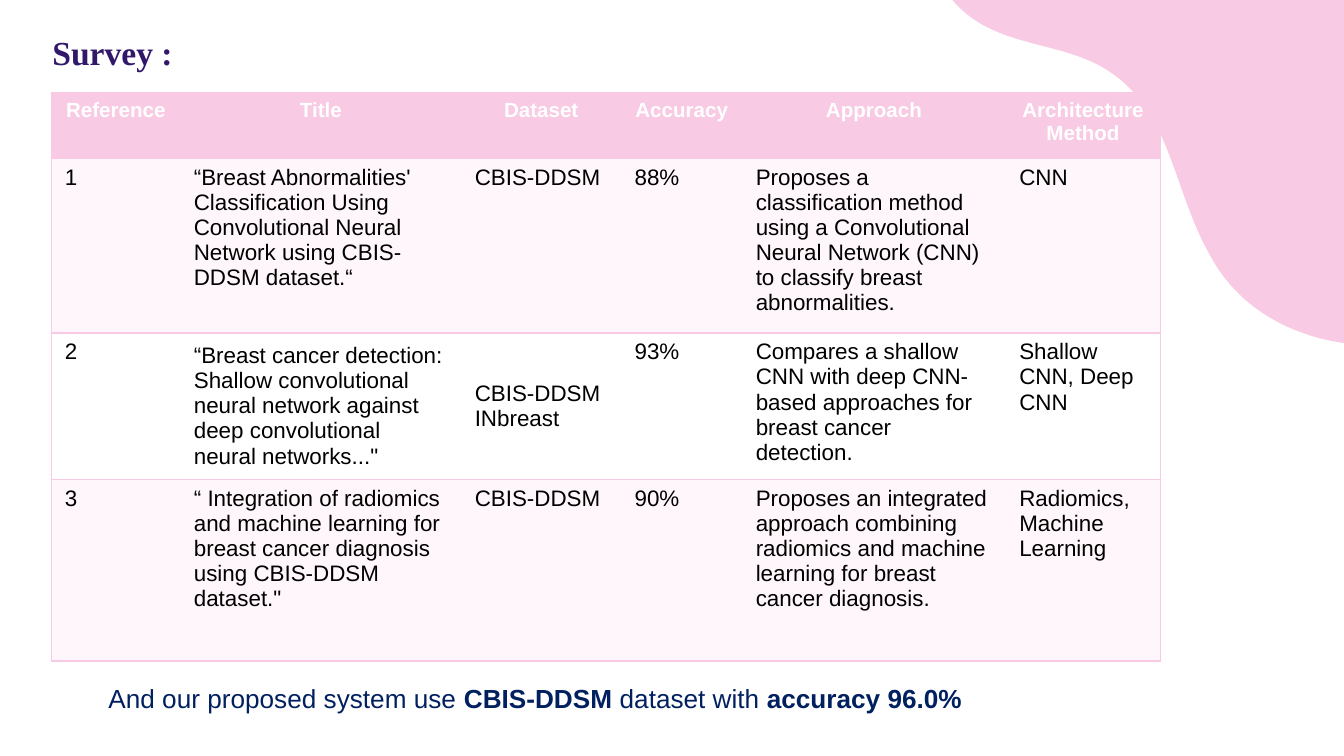
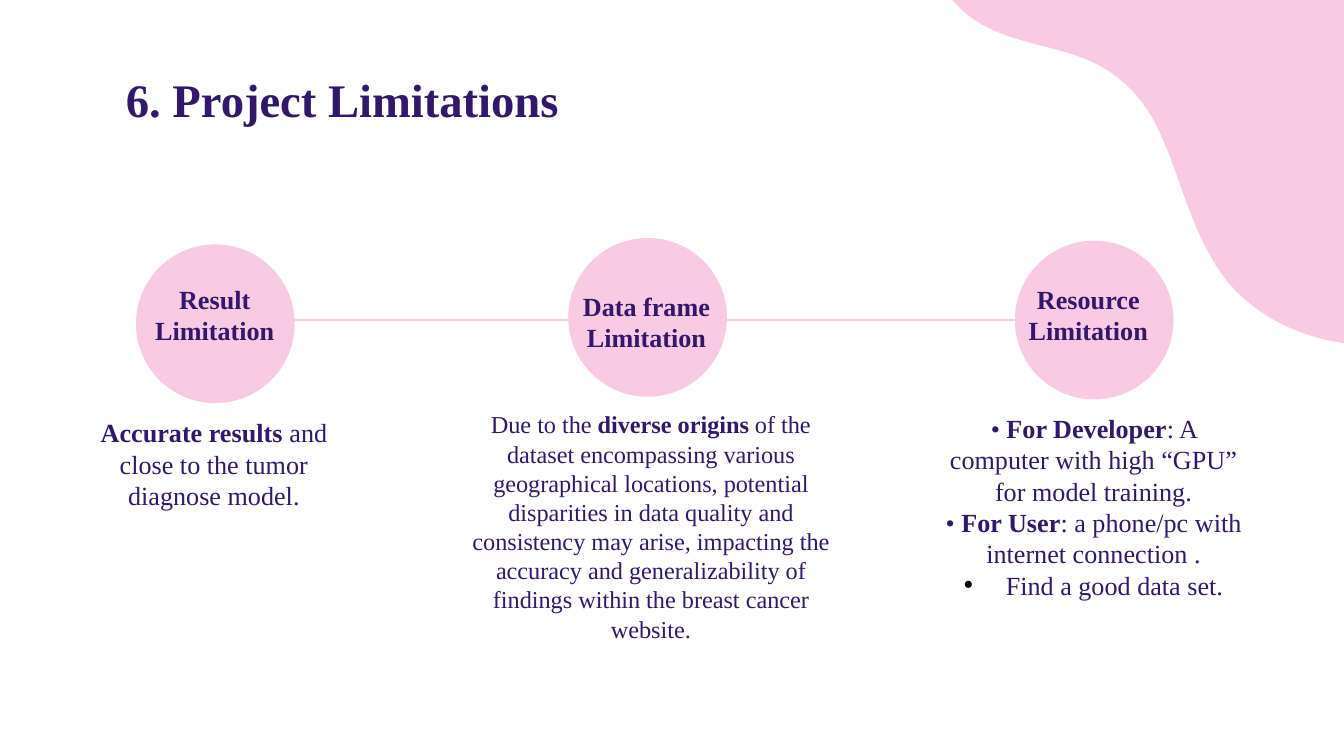
"""Build the survey table and project limitations slides."""
from lxml import etree
from pptx import Presentation
from pptx import util as u
from pptx.dml.color import RGBColor
from pptx.enum import shapes, text
from pptx.oxml import parse_xml
from pptx.oxml.ns import nsdecls, qn

PINK, PALE, WHITE, PURPLE, NAVY, BLACK = "F9CAE3", "FEF6FA", "FFFFFF", "32186B", "002060", "000000"
SERIF, SANS = "Times New Roman", "Arial"
LEFT, CENTER = text.PP_ALIGN.LEFT, text.PP_ALIGN.CENTER
rgb = RGBColor.from_string


def write(tf, content, size, font, color, align=LEFT):
    """Fill a text frame, one paragraph a line, with ** around bold parts."""
    tf.word_wrap = True
    tf.text = content
    for p in tf.paragraphs:
        parts = p.text.split("**")
        p.clear()
        p.alignment = align
        for i, part in enumerate(parts):
            if part:
                r = p.add_run()
                r.text = part
                r.font.size, r.font.name = u.Pt(size), font
                r.font.bold = i % 2 == 1
                r.font.color.rgb = rgb(color)


def paint(sp, color):
    """Give a shape a flat fill without outline or shadow."""
    sp.fill.solid()
    sp.fill.fore_color.rgb = rgb(color)
    sp.line.fill.background()
    sp.shadow.inherit = False


prs = Presentation()
prs.slide_width, prs.slide_height = u.Cm(25.4), u.Cm(14.29)
layout = prs.slide_layouts[5]
survey, limits = [prs.slides.add_slide(layout) for _ in range(2)]

# Wave curves in hundredths of an inch: two control points and an end point each
wave = [
    (1207, 7), (1215, 56), (1204, 104), (1190, 166), (1143, 225), (1081, 247),
    (1018, 270), (942, 253), (907, 201), (905, 198), (903, 195), (901, 191),
    (882, 159), (875, 119), (857, 87), (849, 74), (839, 62), (825, 53),
    (798, 35), (763, 35), (734, 20), (718, 12), (706, -1), (698, -15),
    (680, -46), (679, -86), (698, -117), (727, -164), (795, -183), (842, -156),
    (864, -144), (881, -122), (905, -114), (921, -109), (939, -110), (956, -111),
    (1030, -116), (1092, -128), (1149, -76), (1163, -64), (1175, -50), (1184, -34),
]
fb = survey.shapes.build_freeform(1184, -34, scale=u.Cm(2.54) / 100)
fb.add_line_segments(wave, close=True)
sp = fb.convert_to_shape()
paint(sp, PINK)
lines = list(sp.element.iter(qn("a:lnTo")))
for i in range(0, len(lines), 3):
    curve = etree.Element(qn("a:cubicBezTo"))
    lines[i].addprevious(curve)
    for ln in lines[i:i + 3]:
        curve.append(ln[0])
        ln.getparent().remove(ln)
layout.shapes.element.insert(2, sp.element)

titles = [
    (survey, "**Survey :**", 18, (0.74, 0.48, 7.34, 1.02), 0.13),
    (limits, "**6. Project Limitations**", 25, (2.13, 1.07, 18.72, 1.6), 0.25),
]
for s, content, size, box, inset in titles:
    sp = s.shapes.title
    sp.left, sp.top, sp.width, sp.height = [u.Cm(v) for v in box]
    tf = sp.text_frame
    tf.auto_size = text.MSO_AUTO_SIZE.NONE
    tf.vertical_anchor = text.MSO_ANCHOR.MIDDLE
    tf.margin_left = tf.margin_right = u.Cm(0.25)
    tf.margin_top = tf.margin_bottom = u.Cm(inset)
    write(tf, content, size, SERIF, PURPLE)

rows = [
    ["Reference", "Title", "Dataset", "Accuracy", "Approach", "Architecture Method"],
    ["1", "“Breast Abnormalities' Classification Using Convolutional Neural Network using CBIS-DDSM dataset.“",
     "CBIS-DDSM", "88%",
     "Proposes a classification method using a Convolutional Neural Network (CNN) to classify breast abnormalities.",
     "CNN"],
    ["2", "“Breast cancer detection: Shallow convolutional neural network against deep convolutional neural networks...\"",
     "CBIS-DDSM\nINbreast", "93%",
     "Compares a shallow CNN with deep CNN-based approaches for breast cancer detection.",
     "Shallow CNN, Deep CNN"],
    ["3", "“ Integration of radiomics and machine learning for breast cancer diagnosis using CBIS-DDSM dataset.\"",
     "CBIS-DDSM", "90%",
     "Proposes an integrated approach combining radiomics and machine learning for breast cancer diagnosis.",
     "Radiomics, Machine Learning"],
]
widths = [2.44, 5.31, 3.02, 2.29, 4.98, 2.92]
heights = [1.24, 3.3, 2.77, 3.43]
tbl = survey.shapes.add_table(len(rows), len(widths), u.Cm(0.97), u.Cm(1.75),
                              u.Cm(sum(widths)), u.Cm(sum(heights))).table
tbl.horz_banding = False
for col, w in zip(tbl.columns, widths):
    col.width = u.Cm(w)
for i, row in enumerate(rows):
    tbl.rows[i].height = u.Cm(heights[i])
    for j, content in enumerate(row):
        cell = tbl.cell(i, j)
        if i == 0:
            write(cell.text_frame, f"**{content}**", 11, SANS, WHITE, CENTER)
        else:
            write(cell.text_frame, content, 12, SANS, BLACK)
        if i == 2 and j in (1, 2):
            cell.vertical_anchor = text.MSO_ANCHOR.MIDDLE
        cell.fill.solid()
        cell.fill.fore_color.rgb = rgb([PINK, PALE, WHITE, PALE][i])
        edges = {"lnL": j == 0, "lnR": j == len(row) - 1, "lnT": True, "lnB": True}
        for k, (tag, shown) in enumerate(edges.items()):
            fill = f'<a:solidFill><a:srgbClr val="{PINK}"/></a:solidFill>' if shown else "<a:noFill/>"
            edge = parse_xml(f'<a:{tag} {nsdecls("a")} w="12700">{fill}</a:{tag}>')
            cell._tc.get_or_add_tcPr().insert(k, edge)

cn = limits.shapes.add_connector(shapes.MSO_CONNECTOR.STRAIGHT, u.Cm(5.33), u.Cm(6.05), u.Cm(22.05), u.Cm(6.05))
cn.line.color.rgb = rgb(PINK)
cn.line.width = u.Pt(1.5)
etree.SubElement(cn.element.spPr, qn("a:effectLst"))

for left, top in [(19.18, 4.55), (10.74, 4.5), (2.57, 4.62)]:
    sp = limits.shapes.add_shape(shapes.MSO_SHAPE.OVAL, u.Cm(left), u.Cm(top), u.Cm(3), u.Cm(3))
    paint(sp, PINK)

boxes = [
    (survey, (1.8, 12.78, 19.25, 0.86), 14, SANS, NAVY, LEFT,
     "And our proposed system use **CBIS-DDSM** dataset with **accuracy 96.0%**"),
    (limits, (-2.29, 5.23, 12.7, 1.45), 14, SERIF, PURPLE, CENTER, "**Result**\n**Limitation**"),
    (limits, (5.87, 5.36, 12.7, 2.06), 14, SERIF, PURPLE, CENTER, "**Data frame**\n**Limitation**"),
    (limits, (14.22, 5.23, 12.7, 1.45), 14, SERIF, PURPLE, CENTER, "**Resource**\n**Limitation**"),
    (limits, (8.59, 7.62, 7.42, 4.7), 13, SERIF, PURPLE, CENTER,
     "Due to the **diverse origins **of the dataset encompassing various geographical locations, "
     "potential disparities in data quality and consistency may arise, impacting the accuracy and "
     "generalizability of findings within the breast cancer website."),
    (limits, (1.63, 7.75, 4.83, 2.06), 14, SERIF, PURPLE, CENTER,
     "**Accurate results **and close to the tumor diagnose model."),
    (limits, (17.48, 7.67, 6.38, 3.84), 14, SERIF, PURPLE, CENTER,
     "• **For Developer**: A computer with high “GPU” for model training.\n"
     "• **For User**: a phone/pc with internet connection .\nFind a good data set."),
]
for s, box, size, font, color, align, content in boxes:
    tf = s.shapes.add_textbox(*[u.Cm(v) for v in box]).text_frame
    write(tf, content, size, font, color, align)
    tf.auto_size = text.MSO_AUTO_SIZE.SHAPE_TO_FIT_TEXT

pPr = tf.paragraphs[-1]._p.get_or_add_pPr()
pPr.set("marL", str(u.Cm(0.79)))
pPr.set("indent", str(-u.Cm(0.79)))
etree.SubElement(etree.SubElement(pPr, qn("a:buClr")), qn("a:srgbClr"), val=BLACK)
etree.SubElement(pPr, qn("a:buFont"), typeface=SANS)
etree.SubElement(pPr, qn("a:buChar"), char="•")

prs.save("out.pptx")
